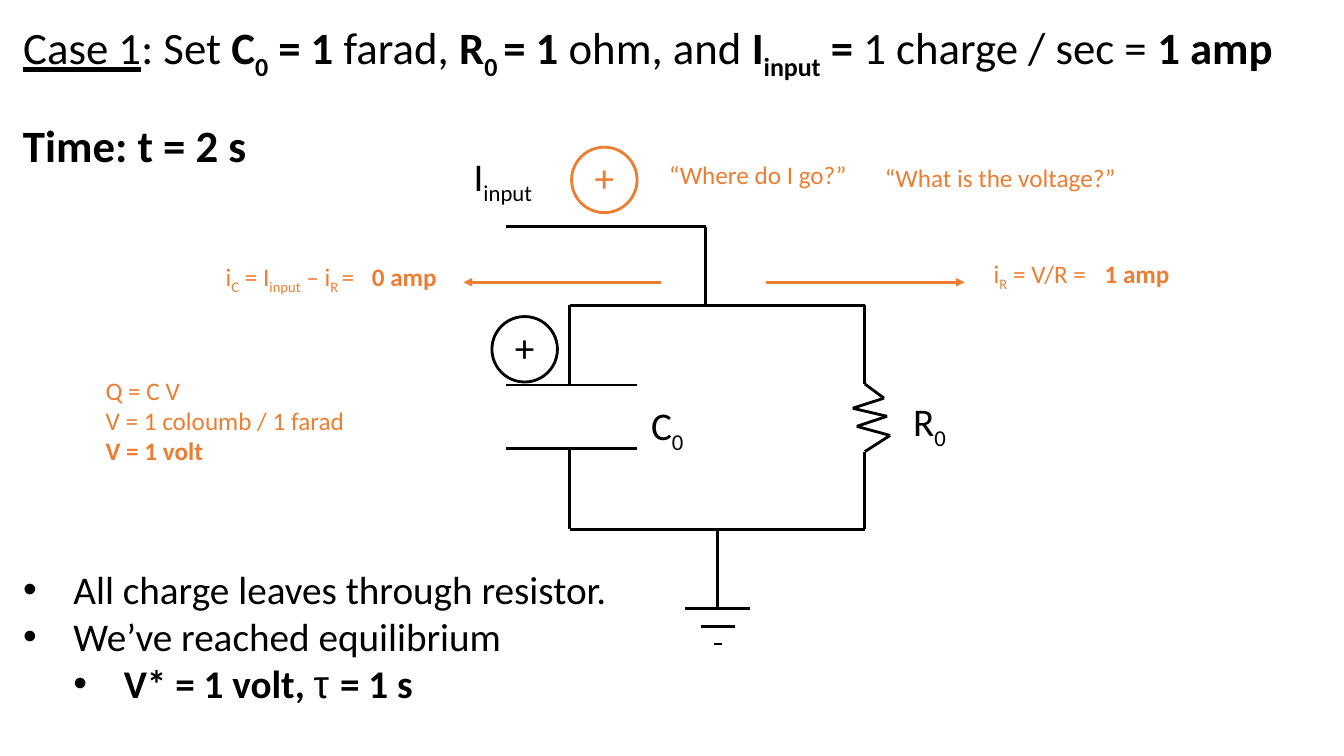
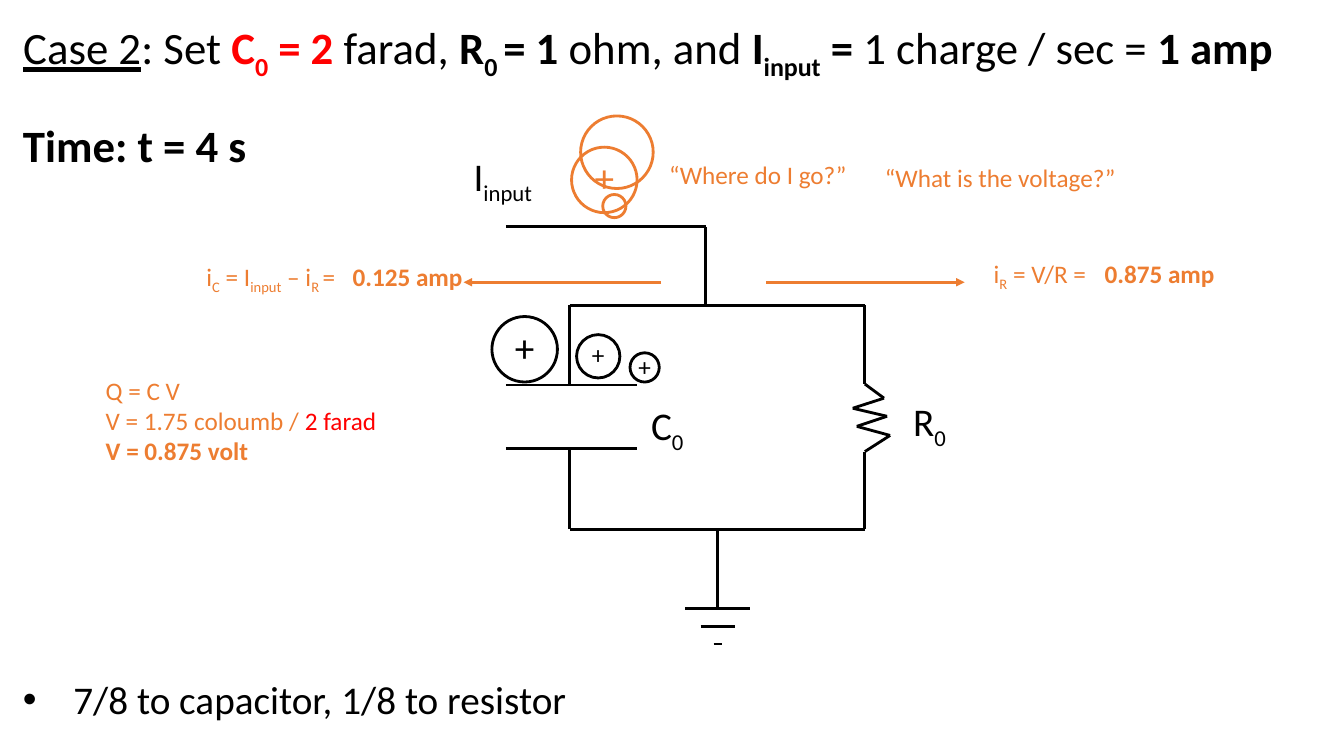
"""Build two slides that follow charge through a resistor-capacitor circuit."""
from dataclasses import dataclass
from itertools import pairwise

from lxml import etree
from pptx import Presentation
from pptx.dml.color import RGBColor
from pptx.enum.shapes import MSO_CONNECTOR, MSO_SHAPE
from pptx.enum.text import MSO_ANCHOR, MSO_AUTO_SIZE, PP_ALIGN
from pptx.oxml.ns import qn
from pptx.util import Inches, Pt


@dataclass(frozen=True)
class Theme:
    """Colours, fonts and type sizes shared by the slides."""
    ink: str = "000000"
    accent: str = "ED7D31"
    changed: str = "FF0000"
    font: str = "Calibri"
    symbol_font: str = "Arial"
    title: int = 32
    body: int = 28
    note: int = 18
    stroke: int = 2


@dataclass(frozen=True)
class Box:
    """A region measured in grid cells."""
    col: float
    row: float
    cols: float = 0
    rows: float = 0

    def inner(self, col, row, cols=0, rows=0):
        """Return a box placed relative to this one."""
        return Box(self.col + col, self.row + row, cols, rows)

    def lengths(self):
        """Return left, top, width and height as slide lengths."""
        return [cells(n) for n in (self.col, self.row, self.cols, self.rows)]


THEME = Theme()
CELL = 0.1
SLIDE = Box(0, 0, 133.33, 75)
MARGIN = 1.3
LINE_ROWS = {THEME.title: 6.4, THEME.body: 5.7, THEME.note: 4}


def cells(count):
    """Convert grid cells to a slide length."""
    return Inches(count * CELL)


def rgb(color):
    """Convert a hex string to a colour."""
    return RGBColor.from_string(color)


def add_runs(paragraph, runs, size, color):
    """Write (text, flags) runs: b bold, u underline, s subscript, r changed, a symbol."""
    for text, flags in runs:
        run = paragraph.add_run()
        run.text = text
        font = run.font
        font.name = THEME.symbol_font if "a" in flags else THEME.font
        font.size = Pt(size)
        font.bold = "b" in flags
        font.underline = "u" in flags
        font.color.rgb = rgb(THEME.changed if "r" in flags else color)
        if "s" in flags:
            run._r.get_or_add_rPr().set("baseline", "-25000")


def fill_frame(shape, paragraphs, size, color):
    """Set left-aligned, unwrapped paragraphs of runs in a shape."""
    frame = shape.text_frame
    frame.word_wrap = False
    frame.auto_size = MSO_AUTO_SIZE.SHAPE_TO_FIT_TEXT
    frame.vertical_anchor = MSO_ANCHOR.TOP
    for index, runs in enumerate(paragraphs):
        paragraph = frame.add_paragraph() if index else frame.paragraphs[0]
        paragraph.alignment = PP_ALIGN.LEFT
        add_runs(paragraph, runs, size, color)
    return frame


def add_text(shapes, box, paragraphs, size=THEME.note, color=THEME.accent):
    """Add a text box whose height follows its number of lines."""
    lines = box.inner(0, 0, box.cols, LINE_ROWS[size] * len(paragraphs))
    return fill_frame(shapes.add_textbox(*lines.lengths()), paragraphs, size, color)


def add_line(shapes, start, end, color=THEME.ink, arrow=False):
    """Draw a straight connector between two grid points."""
    line = shapes.add_connector(MSO_CONNECTOR.STRAIGHT, *map(cells, (*start, *end)))
    line.line.color.rgb = rgb(color)
    line.line.width = Pt(THEME.stroke)
    if arrow:
        etree.SubElement(line.line._get_or_add_ln(), qn("a:tailEnd"), type="triangle")
    etree.SubElement(line._element.spPr, qn("a:effectLst"))


def add_charge(shapes, box, color, size=None):
    """Draw a round charge, with a plus sign when a type size is given."""
    circle = shapes.add_shape(MSO_SHAPE.OVAL, *box.lengths())
    circle.shadow.inherit = False
    circle.fill.background()
    circle.line.color.rgb = rgb(color)
    circle.line.width = Pt(THEME.stroke)
    if size:
        frame = circle.text_frame
        frame.word_wrap = False
        frame.vertical_anchor = MSO_ANCHOR.MIDDLE
        frame.margin_left = frame.margin_right = frame.margin_top = 0
        frame.margin_bottom = cells(box.rows * 0.09)
        frame.paragraphs[0].alignment = PP_ALIGN.CENTER
        add_runs(frame.paragraphs[0], [("+", "")], size, color)


def add_heading(slide, box, case, time, farads, flag):
    """Place the case title and the time below it."""
    title = slide.shapes.title
    title.left, title.top, title.width, title.height = box.inner(
        0, 0, 128.5, LINE_ROWS[THEME.title]).lengths()
    runs = [(f"Case {case}", "u"), (": Set ", ""), ("C", "b" + flag), ("0", "bs" + flag),
            (f" = {farads} ", "b" + flag), ("farad, ", ""), ("R", "b"), ("0 ", "bs"),
            ("= 1 ", "b"), ("ohm, and ", ""), ("I", "b"), ("input", "bs"),
            (" = ", "b"), ("1 charge / sec = ", ""), ("1 amp", "b")]
    fill_frame(title, [runs], THEME.title, THEME.ink)
    add_text(slide.shapes, box.inner(0, 9.7, 24.4), [[(f"Time: t = {time} s", "b")]],
             THEME.title, THEME.ink)


def add_circuit(slide, box):
    """Draw the wires, capacitor, resistor and ground as one group."""
    shapes = slide.shapes.add_group_shape().shapes
    left, right, top, bottom = 6.3, 35.6, 7.8, 30
    plates, plate_width, stem, ground = (15.7, 22), 13, 21, 37.9
    resistor = [(right, 15.6), (37.5, 17), (34.4, 18), (37.8, 18.8),
                (34.8, 19.8), (38.1, 20.7), (right, 22.3)]
    paths = [
        [(0, 0), (19.8, 0), (19.8, top)],
        [(left, plates[0]), (left, top), (right, top), *resistor,
         (right, bottom), (left, bottom), (left, plates[1])],
        [(stem, bottom), (stem, ground)],
        *[[(0, row), (plate_width, row)] for row in plates],
        *[[(stem - half, ground + step * 1.75), (stem + half, ground + step * 1.75)]
          for step, half in enumerate((3.2, 1.7, 0.4))],
    ]
    for path in paths:
        for start, end in pairwise((box.col + x, box.row + y) for x, y in path):
            add_line(shapes, start, end)
    for name, col, row in (("R", 39.4, 16.4), ("C", 13.4, 16.8)):
        add_text(shapes, box.inner(col, row, 5.5), [[(name, ""), ("0", "s")]],
                 THEME.body, THEME.ink)


def add_input(slide, box):
    """Place the input current, its charge and the questions it asks."""
    add_text(slide.shapes, box.inner(0, 0, 8.6), [[("I", ""), ("input", "s")]],
             THEME.body, THEME.ink)
    add_charge(slide.shapes, box.inner(10.7, 0, 6.5, 6.5), THEME.accent, THEME.body)
    for question, col, row, cols in (("“Where do I go?”", 19.4, 0.7, 19.8),
                                     ("“What is the voltage?”", 40.8, 1, 25.1)):
        add_text(slide.shapes, box.inner(col, row, cols), [[(question, "")]])


def add_current(slide, box, equation, amps, amps_cols, gap):
    """Place a branch current equation and, after a gap, its value."""
    add_text(slide.shapes, box, [equation])
    add_text(slide.shapes, box.inner(gap, 0, amps_cols), [[(f"{amps} amp", "b")]])


def add_branches(slide, box, capacitor, resistor, shift):
    """Draw arrows into both branches with the currents beside them."""
    for start, end in ((30, 49.7), (19.6, 0)):
        add_line(slide.shapes, (box.col + start, box.row), (box.col + end, box.row),
                 THEME.accent, arrow=True)
    add_current(slide, box.inner(-24.6 - shift, -2.6, 15.7),
                [("i", ""), ("C", "s"), (" = I", ""), ("input", "s"),
                 (" – i", ""), ("R ", "s"), ("=", "")], *capacitor, gap=14.5)
    add_current(slide, box.inner(51.6, -2.9, 11.4),
                [("i", ""), ("R", "s"), (" = V/R =", "")], *resistor, gap=11)


def add_bullets(slide, box, items):
    """Place bulleted lines given as (level, runs)."""
    frame = add_text(slide.shapes, box, [runs for _, runs in items],
                     THEME.body, THEME.ink)
    for paragraph, (level, _) in zip(frame.paragraphs, items):
        paragraph.level = level
        properties = paragraph._p.get_or_add_pPr()
        properties.set("marL", str(cells(5 * (level + 1))))
        properties.set("indent", str(-cells(5)))
        etree.SubElement(properties, qn("a:buFont"), typeface=THEME.symbol_font)
        etree.SubElement(properties, qn("a:buChar"), char="•")


def add_case_slide(deck, heading, voltage, voltage_cols, branches, bullets, bullet_box):
    """Add one case of the circuit and return its slide."""
    slide = deck.slides.add_slide(deck.slide_layouts[5])
    add_heading(slide, SLIDE.inner(MARGIN, 1.5), *heading)
    add_circuit(slide, SLIDE.inner(50.2, 22.5))
    add_input(slide, SLIDE.inner(46, 14.6))
    add_branches(slide, SLIDE.inner(46, 28), *branches)
    add_text(slide.shapes, SLIDE.inner(9.5, 36.7, voltage_cols),
             [[("Q = C V", "")], *voltage])
    add_charge(slide.shapes, SLIDE.inner(48.8, 31.4, 6.5, 6.5), THEME.ink, THEME.body)
    add_bullets(slide, bullet_box, bullets)
    return slide


def add_extra_charges(slide, box):
    """Add the later, smaller charges around the input and the capacitor."""
    for col, row, size, color, sign in (
            (11, 7.8, 2.3, THEME.accent, None), (8.8, 0, 7.2, THEME.accent, None),
            (8.4, 21.7, 4.3, THEME.ink, THEME.note),
            (13.7, 23.5, 2.9, THEME.ink, THEME.note)):
        add_charge(slide.shapes, box.inner(col, row, size, size), color, sign)


def main():
    """Build and save the deck."""
    deck = Presentation()
    deck.slide_width, deck.slide_height = SLIDE.lengths()[2:]
    add_case_slide(
        deck, heading=(1, 2, 1, ""),
        voltage=[[("V = 1 coloumb / 1 farad", "")], [("V = 1 volt", "b")]],
        voltage_cols=26, branches=(("0", 8.5), ("1", 8.5), 0),
        bullets=[(0, [("All charge leaves through resistor.", "")]),
                 (0, [("We’ve reached equilibrium", "")]),
                 (1, [("V* = 1 volt, ", "b"), ("τ ", "a"), ("= 1 s", "b")])],
        bullet_box=SLIDE.inner(MARGIN, 55.6, 60.5))
    charging = add_case_slide(
        deck, heading=(2, 4, 2, "r"),
        voltage=[[("V = 1.75 coloumb / ", ""), ("2 farad", "r")],
                 [("V = 0.875 volt", "b")]],
        voltage_cols=29.2, branches=(("0.125", 13), ("0.875", 13), 1.9),
        bullets=[(0, [("7/8 to capacitor, 1/8 to resistor", "")])],
        bullet_box=SLIDE.inner(MARGIN, 66.5, 57.4))
    add_extra_charges(charging, SLIDE.inner(48.8, 11.5))
    deck.save("out.pptx")


main()
